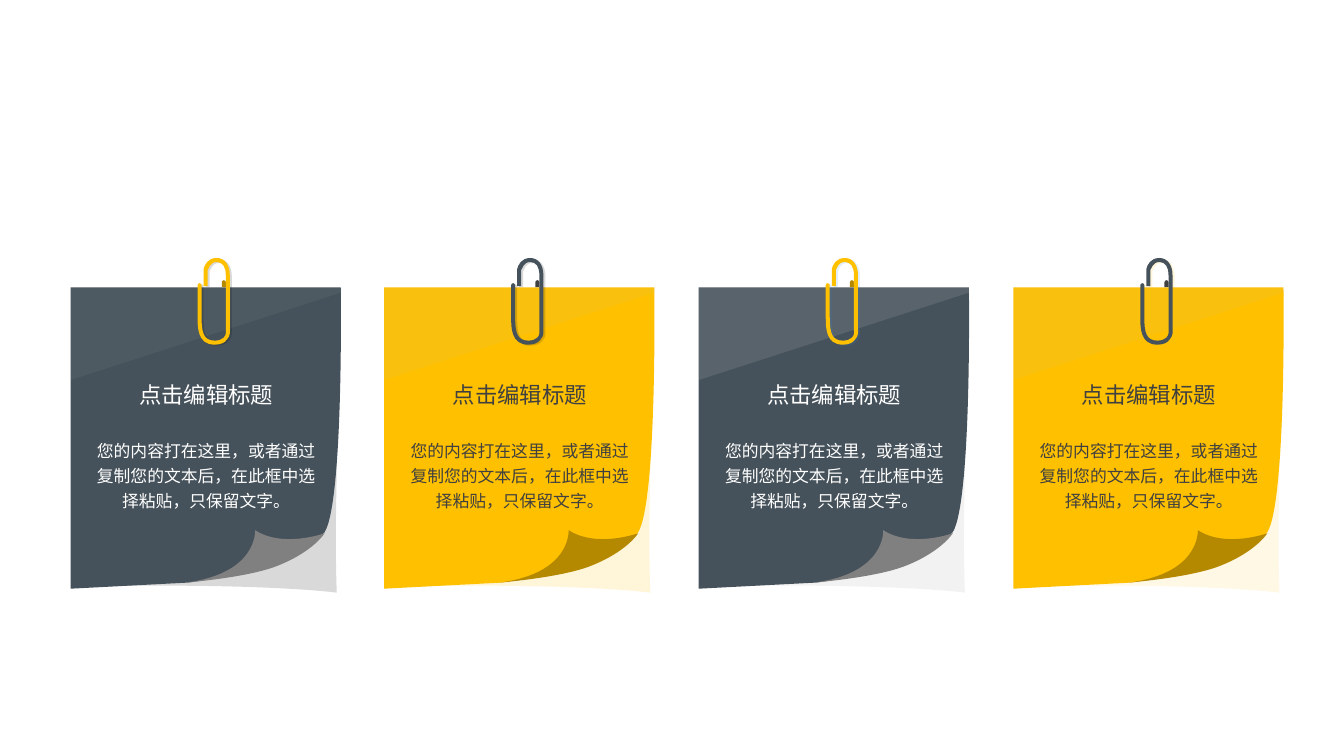
"""Build a slide with four curled paper notes held by paper clips."""
from lxml import etree
from pptx import Presentation
from pptx import util as u
from pptx.dml.color import RGBColor
from pptx.enum import text
from pptx.oxml import ns

PX = 9144
COLORS = {
    "slate": "46525B", "amber": "FFC000", "ochre": "B48900",
    "gray": "808080", "silver": "D9D9D9", "mist": "C1C6CA",
    "ink": "404040", "white": "FFFFFF", "black": "000000", "blue": "2D8AF3",
}
CAST_SHADOW = [(334, 588), (334, 588, 262, 578, 77, 582), (77, 292), (334, 292),
               (334, 464), (334, 482, 332, 532, 334, 588)]
SHEET = [(338, 285), (70, 285), (70, 584), (186, 578),
         (186, 578, 222, 574, 256, 562), (289, 550, 321, 530, 322, 528),
         (341, 497, 338, 285, 338, 285)]
CURL = [(322, 529), (322, 529, 281, 544, 253, 526), (253, 526, 256, 569, 184, 578),
        (184, 578, 247, 573, 276, 561), (311, 547, 322, 529, 322, 529)]
SHEEN = [(339, 290), (70, 377), (70, 285), (339, 285)]
CLIP_TIP = [(224, 280), (224, 279, 223, 278, 222, 278),
            (221, 278, 220, 279, 220, 280), (220, 285), (224, 285)]
CLIP = [(228, 327), (228, 273), (228, 263, 223, 256, 215, 256),
        (206, 256, 203, 263, 202, 267), (202, 284), (206, 284), (206, 268),
        (207, 267, 208, 260, 215, 260), (221, 260, 224, 265, 224, 273),
        (224, 328), (224, 328, 225, 332, 222, 335), (220, 337, 217, 338, 213, 338),
        (202, 338, 200, 330, 200, 315), (200, 283), (200, 282, 199, 281, 198, 281),
        (197, 281, 196, 282, 196, 283), (196, 315), (196, 325, 196, 342, 213, 342),
        (219, 342, 223, 340, 225, 337), (229, 333, 228, 328, 228, 327)]
TITLE = "点击编辑标题"
BODY = "您的内容打在这里，或者通过复制您的文本后，在此框中选择粘贴，只保留文字。"
SLATE_NOTE = {"sheet": "slate", "curl": "gray", "clip": "amber",
              "tip": "ochre", "words": "white"}
AMBER_NOTE = {"sheet": "amber", "curl": "ochre", "clip": "slate",
              "tip": "ink", "words": "ink"}
NOTES = [
    {**SLATE_NOTE, "cast": ("silver", 100), "sheen": ("mist", 7), "clip_shadow": ("black", 15)},
    {**AMBER_NOTE, "cast": ("amber", 15), "sheen": ("mist", 7), "clip_shadow": ("black", 15)},
    {**SLATE_NOTE, "cast": ("black", 5), "sheen": ("white", 10), "clip_shadow": ("blue", 15)},
    {**AMBER_NOTE, "cast": ("amber", 10), "sheen": ("mist", 7), "clip_shadow": ("amber", 15)},
]


class NoteSlide:
    """Hold the text style and the slide on which notes are drawn."""

    font = "Noto Sans CJK SC"

    def __init__(self, deck):
        """Add a blank slide to the deck."""
        self.slide = deck.slides.add_slide(deck.slide_layouts[6])

    def bend(self, shape, outline):
        """Join each triple of line points that stands for a curve."""
        lines = iter(list(shape._element.spPr.iter(ns.qn("a:lnTo"))))
        for segment in outline[1:]:
            first = next(lines)
            if len(segment) == 6:
                curve = first.makeelement(ns.qn("a:cubicBezTo"))
                first.addprevious(curve)
                for line in (first, next(lines), next(lines)):
                    curve.append(line[0])
                    line.getparent().remove(line)

    def outline(self, group, outline, color, dx, dy=0, opacity=100):
        """Draw a filled outline moved by dx and dy."""
        points = [((x + dx) * PX, (y + dy) * PX) for segment in outline
                  for x, y in zip(segment[::2], segment[1::2])]
        builder = group.shapes.build_freeform(*points[0], scale=1.0)
        builder.add_line_segments(points[1:], close=True)
        shape = builder.convert_to_shape()
        self.bend(shape, outline)
        shape.shadow.inherit = False
        shape.line.fill.background()
        shape.fill.solid()
        shape.fill.fore_color.rgb = RGBColor.from_string(COLORS[color])
        if opacity < 100:
            tone = shape._element.spPr.find(f"{ns.qn('a:solidFill')}/{ns.qn('a:srgbClr')}")
            etree.SubElement(tone, ns.qn("a:alpha"), val=str(opacity * 1000))

    def words(self, group, wording, box, size, color, wrap, spacing=None):
        """Write one centred paragraph without insets."""
        label = group.shapes.add_textbox(*(length * PX for length in box))
        frame = label.text_frame
        frame.margin_left = frame.margin_right = frame.margin_top = frame.margin_bottom = 0
        frame.word_wrap = wrap
        frame.auto_size = text.MSO_AUTO_SIZE.SHAPE_TO_FIT_TEXT
        paragraph = frame.paragraphs[0]
        paragraph.text = wording
        paragraph.alignment = text.PP_ALIGN.CENTER
        if spacing:
            paragraph.line_spacing = spacing
        paragraph.font.size = u.Pt(size)
        paragraph.font.color.rgb = RGBColor.from_string(COLORS[color])
        paragraph.font.name = self.font
        defaults = paragraph._p.pPr.find(ns.qn("a:defRPr"))
        etree.SubElement(defaults, ns.qn("a:ea"), typeface=self.font)

    def note(self, look, dx):
        """Draw one clipped note as a group."""
        group = self.slide.shapes.add_group_shape()
        cast, cast_opacity = look["cast"]
        sheen, sheen_opacity = look["sheen"]
        clip_shadow, clip_opacity = look["clip_shadow"]
        self.outline(group, CAST_SHADOW, cast, dx, opacity=cast_opacity)
        self.outline(group, SHEET, look["sheet"], dx)
        self.outline(group, CURL, look["curl"], dx)
        self.outline(group, SHEEN, sheen, dx, opacity=sheen_opacity)
        self.outline(group, CLIP, clip_shadow, dx + 2, 1, clip_opacity)
        self.outline(group, CLIP_TIP, look["tip"], dx)
        self.outline(group, CLIP, look["clip"], dx)
        self.words(group, TITLE, (137 + dx, 378, 135, 27), 16, look["words"], False)
        self.words(group, BODY, (88 + dx, 432, 233, 76), 12, look["words"], True, 1.25)


def main():
    """Build and save the deck."""
    deck = Presentation()
    deck.slide_width, deck.slide_height = 1333 * PX, 750 * PX
    page = NoteSlide(deck)
    for column, look in enumerate(NOTES):
        page.note(look, column * 935 // 3)
    deck.save("out.pptx")


if __name__ == "__main__":
    main()
